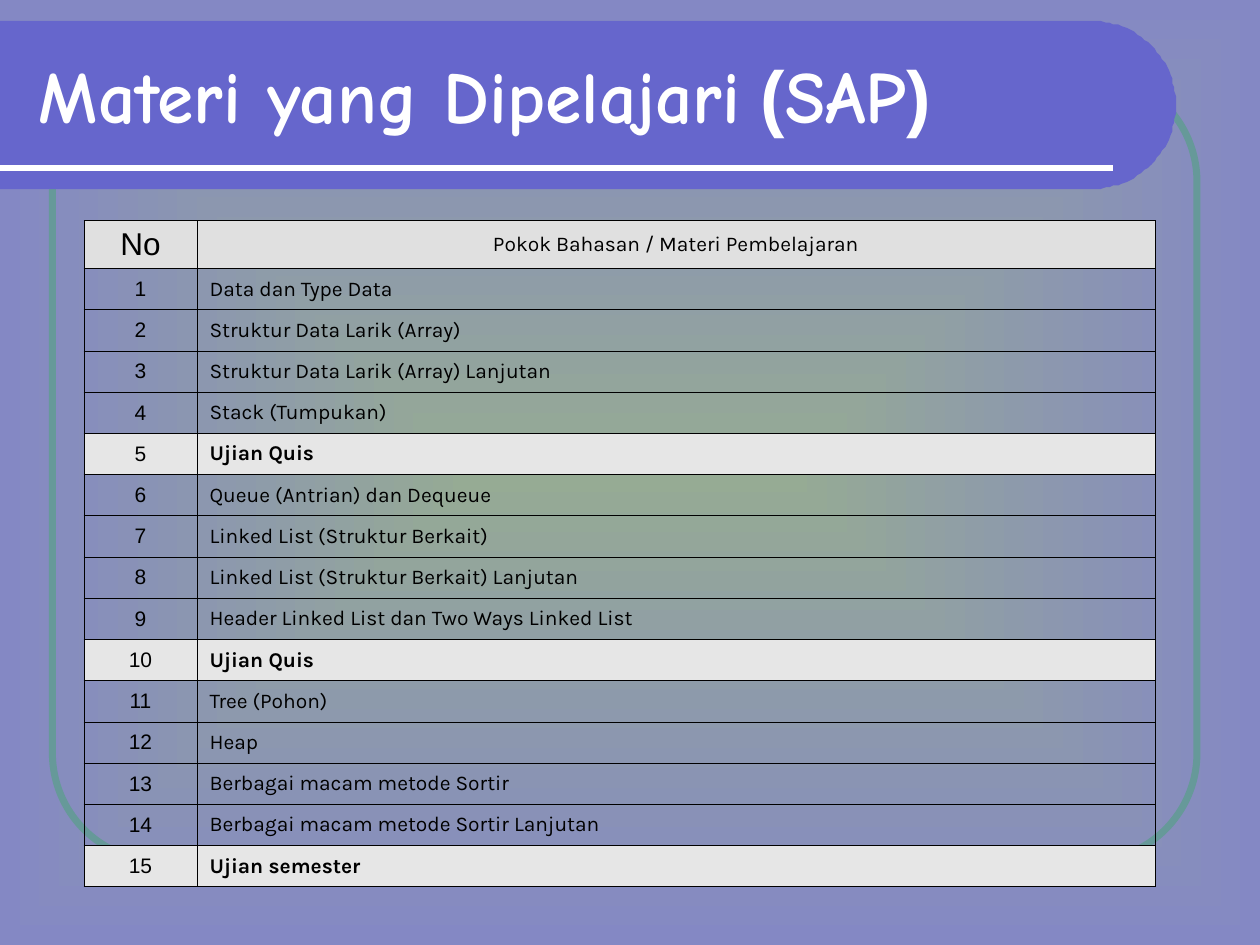
import math
from lxml import etree
from pptx import Presentation
from pptx import util as u
from pptx.dml import color
from pptx.enum import shapes, text
from pptx.oxml import ns

TOPICS = [
    "Data dan Type Data",
    "Struktur Data Larik (Array)",
    "Struktur Data Larik (Array) Lanjutan",
    "Stack (Tumpukan)",
    "Ujian Quis",
    "Queue (Antrian) dan Dequeue",
    "Linked List (Struktur Berkait)",
    "Linked List (Struktur Berkait) Lanjutan",
    "Header Linked List dan Two Ways Linked List",
    "Ujian Quis",
    "Tree (Pohon)",
    "Heap",
    "Berbagai macam metode Sortir",
    "Berbagai macam metode Sortir Lanjutan",
    "Ujian semester",
]


def rgb(value):
    return color.RGBColor.from_string(value)


def apply(target, values):
    for name, value in values.items():
        setattr(target, name, value)


def add_span(para, words, font, size, fill, bold=False):
    span = para.add_run()
    span.text = words
    apply(span.font, {"name": font, "size": u.Pt(size), "bold": bold})
    span.font.color.rgb = rgb(fill)


def paint_background(page, inner, outer):
    fill = page.background.fill
    fill.gradient()
    for stop, value in zip(fill.gradient_stops, (inner, outer)):
        stop.color.rgb = rgb(value)
    gradient = page._element.find(".//" + ns.qn("a:gradFill"))
    gradient.remove(gradient.find(ns.qn("a:lin")))
    center = etree.SubElement(gradient, ns.qn("a:path"), path="rect")
    etree.SubElement(center, ns.qn("a:fillToRect"),
                     l="50000", t="50000", r="50000", b="50000")


def add_frame(page, left, top, width, height):
    frame = page.shapes.add_shape(shapes.MSO_SHAPE.ROUNDED_RECTANGLE,
                                  u.Pt(left), u.Pt(top), u.Pt(width), u.Pt(height))
    frame.adjustments[0] = 0.137
    frame.shadow.inherit = False
    frame.fill.background()
    frame.line.color.rgb = rgb("669999")
    frame.line.width = u.Pt(4)


def add_banner(page, left, top, width, height):
    radius = height / 2
    middle_x, middle_y = left + width - radius, top + radius
    angles = [math.radians(degree) for degree in range(-90, 91, 3)]
    arc = [(middle_x + radius * math.cos(a), middle_y + radius * math.sin(a))
           for a in angles]
    builder = page.shapes.build_freeform(left, top, scale=u.Pt(1))
    builder.add_line_segments(arc + [(left, top + height)], close=True)
    banner = builder.convert_to_shape()
    banner.shadow.inherit = False
    banner.fill.solid()
    banner.fill.fore_color.rgb = rgb("6666CC")
    banner.line.fill.background()

    rule_y = u.Pt(top + height - 12)
    rule = page.shapes.add_connector(shapes.MSO_CONNECTOR.STRAIGHT, u.Pt(left), rule_y,
                                     u.Pt(left + width - 36), rule_y)
    rule.line.color.rgb = rgb("FFFFFF")
    rule.line.width = u.Pt(3)
    etree.SubElement(rule._element.spPr, ns.qn("a:effectLst"))


def place_title(page, left, top, width, height):
    title = page.shapes.title
    apply(title, {"left": u.Pt(left), "top": u.Pt(top),
                  "width": u.Pt(width), "height": u.Pt(height)})
    apply(title.text_frame, {"vertical_anchor": text.MSO_ANCHOR.MIDDLE,
                             "auto_size": text.MSO_AUTO_SIZE.NONE,
                             "word_wrap": True})
    para = title.text_frame.paragraphs[0]
    para.alignment = text.PP_ALIGN.LEFT
    for words, font in (("Materi yang Dipelajari", "Comic Neue"), (" (", "Arial"),
                        ("SAP", "Comic Neue"), (")", "Arial")):
        add_span(para, words, font, 42, "FFFFFF", True)
    page.shapes._spTree.append(title._element)


def add_borders(cell, value, width):
    properties = cell._tc.get_or_add_tcPr()
    for side in ("lnL", "lnR", "lnT", "lnB"):
        border = etree.SubElement(properties, ns.qn("a:" + side), w=str(u.Pt(width)))
        solid = etree.SubElement(border, ns.qn("a:solidFill"))
        etree.SubElement(solid, ns.qn("a:srgbClr"), val=value)


def fill_cell(cell, words, font, size, align, shade=None, bold=False):
    cell.vertical_anchor = text.MSO_ANCHOR.MIDDLE
    add_borders(cell, "000000", 0.45)
    if shade:
        cell.fill.solid()
        cell.fill.fore_color.rgb = rgb(shade)
    else:
        cell.fill.background()
    para = cell.text_frame.paragraphs[0]
    para.alignment = align
    add_span(para, words, font, size, "000000", bold)


def add_topics(page, left, top, width, height):
    header_height, number_width = 27.2, 64.6
    table = page.shapes.add_table(len(TOPICS) + 1, 2, u.Pt(left), u.Pt(top),
                                  u.Pt(width), u.Pt(height)).table
    apply(table, {"first_row": False, "horz_banding": False})
    table.columns[0].width = u.Pt(number_width)
    table.columns[1].width = u.Pt(width - number_width)
    for row in table.rows:
        row.height = u.Pt((height - header_height) / len(TOPICS))
    table.rows[0].height = u.Pt(header_height)

    center, left_side = text.PP_ALIGN.CENTER, text.PP_ALIGN.LEFT
    fill_cell(table.cell(0, 0), "No", "Arial", 18, center, "E0E0E0")
    fill_cell(table.cell(0, 1), "Pokok Bahasan / Materi Pembelajaran", "Karla", 12,
              center, "E0E0E0")
    for number, topic in enumerate(TOPICS, 1):
        exam = topic.startswith("Ujian")
        shade = "E6E6E6" if exam else None
        fill_cell(table.cell(number, 0), str(number), "Arial", 12, center, shade)
        fill_cell(table.cell(number, 1), topic, "Karla", 12, left_side, shade, exam)


def main():
    deck = Presentation()
    apply(deck, {"slide_width": u.Pt(720), "slide_height": u.Pt(540)})
    page = deck.slides.add_slide(deck.slide_layouts[5])
    paint_background(page, "96AB94", "8488C4")
    add_frame(page, 30, 42, 654, 450)
    add_banner(page, 0, 12, 672, 96)
    place_title(page, 15, 18, 631.5, 72)
    add_topics(page, 48, 126, 612, 380.6)
    deck.save("out.pptx")


if __name__ == "__main__":
    main()
